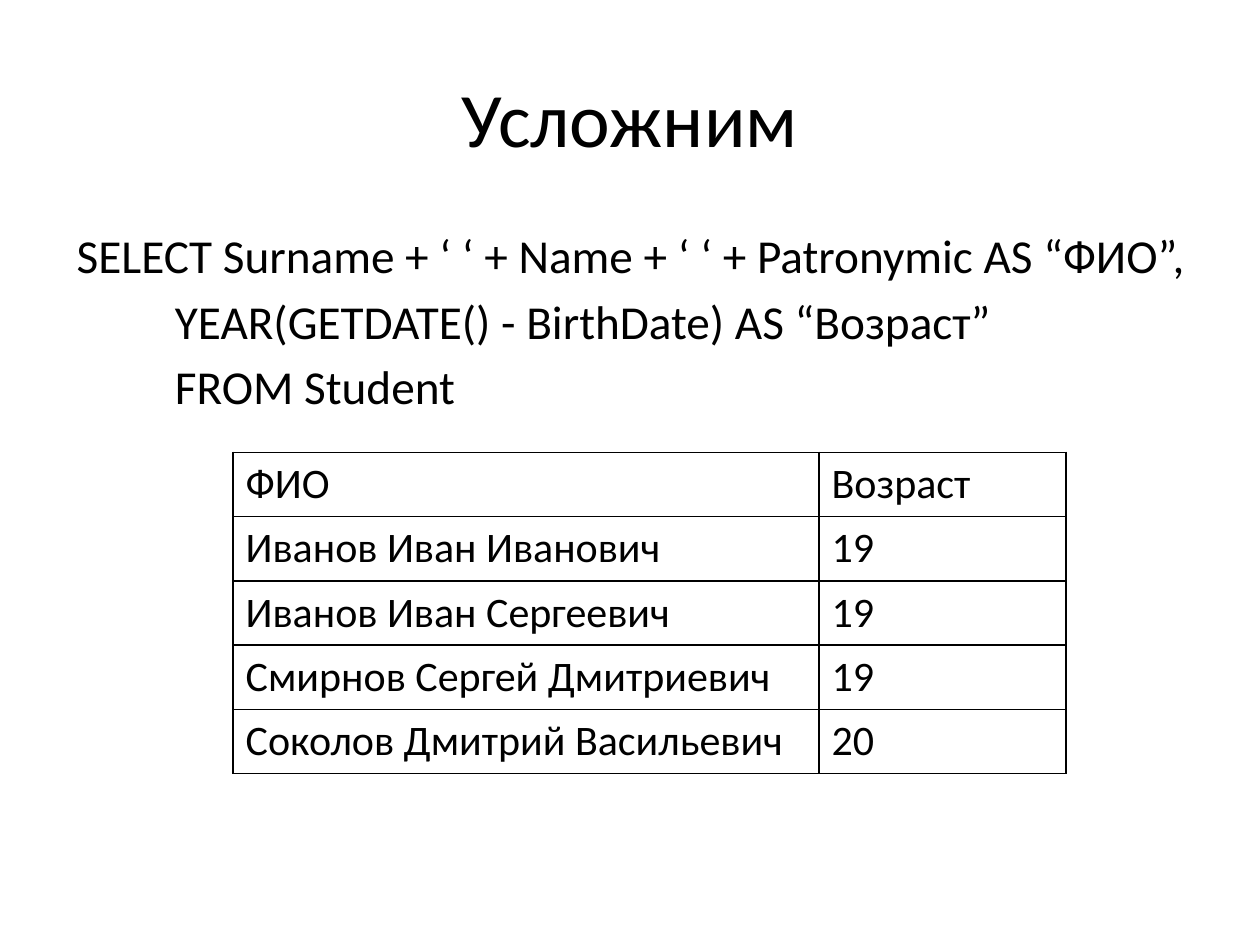
from dataclasses import dataclass

import lxml.etree
import pptx
import pptx.dml.color
import pptx.enum.text
import pptx.oxml.ns
import pptx.util

Inches = pptx.util.Inches
Pt = pptx.util.Pt
COLORS = {"text": "000000", "border": "000000", "background": "FFFFFF"}
FONT = "Calibri"
HANGING = 0.78
COLUMN_WIDTHS = (4.65, 1.96)
ROW_HEIGHT = 0.51


@dataclass
class Line:
    text: str
    first_indent: float = 0


@dataclass
class Person:
    name: str
    age: str


QUERY = [
    Line("SELECT Surname + ‘ ‘ + Name + ‘ ‘ + Patronymic AS “ФИО”,", -HANGING),
    Line("YEAR(GETDATE() - BirthDate) AS “Возраст”"),
    Line("FROM Student"),
]
PEOPLE = [
    Person("ФИО", "Возраст"),
    Person("Иванов Иван Иванович", "19"),
    Person("Иванов Иван Сергеевич", "19"),
    Person("Смирнов Сергей Дмитриевич", "19"),
    Person("Соколов Дмитрий Васильевич", "20"),
]


def write_text(paragraph, text: str, *, size: float, align=pptx.enum.text.PP_ALIGN.LEFT,
               space_before: float = 0, left_indent: float = 0, first_indent: float = 0) -> None:
    properties = paragraph._p.get_or_add_pPr()
    properties.set("marL", str(Inches(left_indent)))
    properties.set("indent", str(Inches(first_indent)))
    paragraph.alignment = align
    paragraph.space_before = Pt(space_before)
    run = paragraph.add_run()
    run.text = text
    run.font.name = FONT
    run.font.size = Pt(size)
    run.font.color.rgb = pptx.dml.color.RGBColor.from_string(COLORS["text"])


def add_text_frame(slide, left: float, top: float, width: float, height: float, anchor):
    shape = slide.shapes.add_textbox(Inches(left), Inches(top), Inches(width), Inches(height))
    shape.text_frame.word_wrap = True
    shape.text_frame.vertical_anchor = anchor
    return shape.text_frame


def add_title(slide) -> None:
    frame = add_text_frame(slide, 0.5, 0.3, 9, 1.25, pptx.enum.text.MSO_ANCHOR.MIDDLE)
    write_text(frame.paragraphs[0], "Усложним", size=44, align=pptx.enum.text.PP_ALIGN.CENTER)


def add_query(slide) -> None:
    frame = add_text_frame(slide, 0.51, 1.75, 9.21, 4.95, pptx.enum.text.MSO_ANCHOR.TOP)
    for index, line in enumerate(QUERY):
        paragraph = frame.add_paragraph() if index else frame.paragraphs[0]
        write_text(paragraph, line.text, size=27, space_before=4.8 if index else 0,
                   left_indent=HANGING, first_indent=line.first_indent)


def set_borders(cell) -> None:
    qn = pptx.oxml.ns.qn
    properties = cell._tc.get_or_add_tcPr()
    for side in ("lnL", "lnR", "lnT", "lnB"):
        border = lxml.etree.SubElement(properties, qn(f"a:{side}"), w=str(Pt(1)))
        fill = lxml.etree.SubElement(border, qn("a:solidFill"))
        lxml.etree.SubElement(fill, qn("a:srgbClr"), val=COLORS["border"])


def add_people_table(slide) -> None:
    table = slide.shapes.add_table(
        len(PEOPLE), len(COLUMN_WIDTHS), Inches(1.85), Inches(3.59),
        Inches(sum(COLUMN_WIDTHS)), Inches(ROW_HEIGHT * len(PEOPLE))).table
    table.first_row = False
    table.horz_banding = False
    for column, width in zip(table.columns, COLUMN_WIDTHS):
        column.width = Inches(width)
    for row, person in zip(table.rows, PEOPLE):
        row.height = Inches(ROW_HEIGHT)
        for cell, text in zip(row.cells, (person.name, person.age)):
            write_text(cell.text_frame.paragraphs[0], text, size=24)
            set_borders(cell)
            cell.fill.background()


def main() -> None:
    presentation = pptx.Presentation()
    presentation.slide_width = Inches(10)
    presentation.slide_height = Inches(7.5)
    slide = presentation.slides.add_slide(presentation.slide_layouts[6])
    slide.background.fill.solid()
    slide.background.fill.fore_color.rgb = pptx.dml.color.RGBColor.from_string(COLORS["background"])
    add_title(slide)
    add_query(slide)
    add_people_table(slide)
    presentation.save("out.pptx")


if __name__ == "__main__":
    main()
